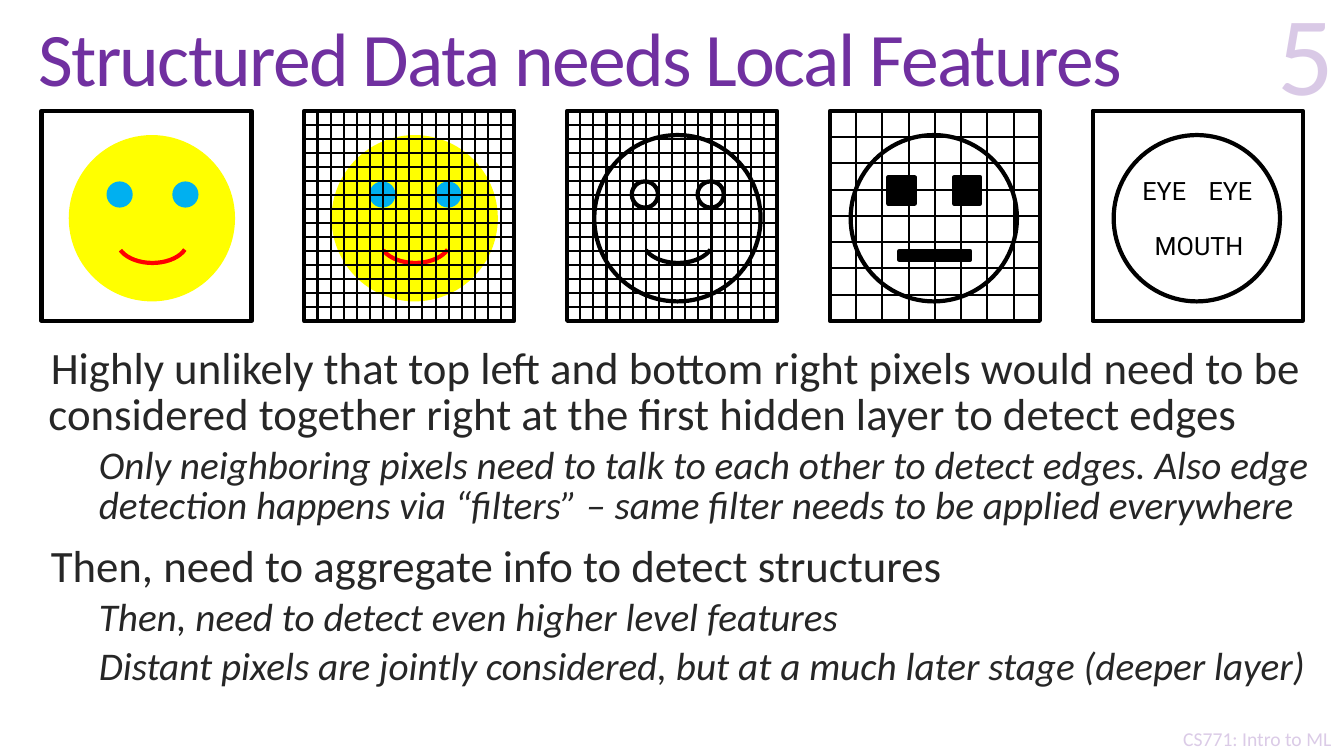
from dataclasses import dataclass
from typing import Optional

from lxml.etree import SubElement
from pptx import Presentation
from pptx.dml.color import RGBColor
from pptx.enum.shapes import MSO_CONNECTOR, MSO_SHAPE as SHAPE
from pptx.enum.text import MSO_ANCHOR as ANCHOR, MSO_AUTO_SIZE, PP_ALIGN as ALIGN
from pptx.oxml.ns import qn
from pptx.util import Pt

COLORS = {"purple": "7030A0", "text": "262626", "black": "000000", "white": "FFFFFF",
          "yellow": "FFFF00", "blue": "00B0F0", "red": "FF0000"}
PANEL_LEFT, PANEL_TOP, PANEL_SIZE, PANEL_PITCH = 29.7, 79.2, 150, 187.7
FACE_SIZE, EYE_SIZE = 118.8, 18.7
SMILE_ADJUSTMENTS = (9.12, 98.22)
TITLE_FONT = {"name": "Calibri", "size": Pt(54)}
FOOTER_FONT = {"name": "Calibri", "size": Pt(14)}
NUMBER_FONT = {"name": "Calibri", "size": Pt(80)}
LABEL_FONT = {"name": "Roboto", "size": Pt(18)}


@dataclass
class Level:
    """Format of one list level."""
    font: dict
    indent: float
    before: float


@dataclass
class Feature:
    """A piece of a face, placed relative to its panel."""
    kind: SHAPE
    x: float
    y: float
    w: float
    h: float
    fill: Optional[str] = None
    line: Optional[str] = None


@dataclass
class Label:
    """A word placed relative to its panel."""
    text: str
    x: float
    y: float
    w: float


@dataclass
class Panel:
    """A framed drawing divided into columns and rows."""
    features: list
    columns: int = 1
    rows: int = 1


LEVELS = [
    Level({"name": "Calibri", "size": Pt(32), "italic": False}, 7.2, 13),
    Level({"name": "Calibri", "size": Pt(28), "italic": True}, 43.2, 6),
]
BULLETS = [
    (0, "Highly unlikely that top left and bottom right pixels would need to be "
        "considered together right at the first hidden layer to detect edges"),
    (1, "Only neighboring pixels need to talk to each other to detect edges. Also edge "
        "detection happens via “filters” – same filter needs to be applied everywhere"),
    (0, "Then, need to aggregate info to detect structures"),
    (1, "Then, need to detect even higher level features"),
    (1, "Distant pixels are jointly considered, but at a much later stage (deeper layer)"),
]


def head(x: float, fill: Optional[str] = None, line: Optional[str] = None) -> Feature:
    """Return the round outline of a face."""
    return Feature(SHAPE.OVAL, x, 17.3, FACE_SIZE, FACE_SIZE, fill, line)


def eyes(kind: SHAPE, x: float, y: float, fill: Optional[str] = None,
         line: Optional[str] = None) -> list:
    """Return a pair of eyes."""
    return [Feature(kind, x + dx, y, EYE_SIZE, EYE_SIZE, fill, line) for dx in (0, 47)]


def smile(color: str) -> Feature:
    """Return a curved mouth."""
    return Feature(SHAPE.ARC, 54, 77, 50.4, 31.7, line=color)


COLOR_FACE = [head(19.4, "yellow"), *eyes(SHAPE.OVAL, 46.4, 50.4, "blue"), smile("red")]
EDGE_FACE = [head(19.4, line="black"), *eyes(SHAPE.OVAL, 46.2, 50.4, line="black"),
             smile("black")]
BLOCK_FACE = [head(14.8, line="black"),
              *eyes(SHAPE.RECTANGLE, 41.8, 47.5, "black", "black"),
              Feature(SHAPE.RECTANGLE, 49.7, 100, 50.4, 6.5, "black", "black")]
WORD_FACE = [head(15, line="black"), Label("EYE", 25.9, 42.5, 50.4),
             Label("EYE", 73.2, 42.5, 50.4), Label("MOUTH", 34.6, 82.1, 82.8)]
PANELS = [Panel(COLOR_FACE), Panel(COLOR_FACE, 16, 15), Panel(EDGE_FACE, 16, 15),
          Panel(BLOCK_FACE, 8, 8), Panel(WORD_FACE)]


def rgb(name: str) -> RGBColor:
    """Look up a named colour."""
    return RGBColor.from_string(COLORS[name])


def write(p, text: str, font: dict, color: str):
    """Add a formatted run to a paragraph."""
    r = p.add_run()
    r.text = text
    for key, value in font.items():
        setattr(r.font, key, value)
    r.font.color.rgb = rgb(color)
    return r


def place(sp, x: float, y: float, w: float, h: float) -> None:
    """Move and size a shape, in points."""
    for key, value in {"left": x, "top": y, "width": w, "height": h}.items():
        setattr(sp, key, Pt(value))


def set_opacity(sp, percent: int) -> None:
    """Make the colours of a shape partly transparent."""
    for clr in list(sp.element.iter(qn("a:srgbClr"))):
        SubElement(clr, qn("a:alpha"), val=str(percent * 1000))


def add_text(shapes, text: str, box: tuple, font: dict, color: str,
             align: ALIGN = ALIGN.CENTER, anchor: ANCHOR = ANCHOR.TOP):
    """Add a one-paragraph text box."""
    sp = shapes.add_textbox(*map(Pt, box))
    tf = sp.text_frame
    tf.word_wrap, tf.vertical_anchor = True, anchor
    tf.paragraphs[0].alignment = align
    write(tf.paragraphs[0], text, font, color)
    return sp


def add_feature(shapes, feature: Feature, left: float, top: float):
    """Add a preset shape relative to a corner."""
    sp = shapes.add_shape(feature.kind, Pt(left + feature.x), Pt(top + feature.y),
                          Pt(feature.w), Pt(feature.h))
    sp.shadow.inherit = False
    if feature.fill:
        sp.fill.solid()
        sp.fill.fore_color.rgb = rgb(feature.fill)
    else:
        sp.fill.background()
    if feature.line:
        sp.line.color.rgb, sp.line.width = rgb(feature.line), Pt(3)
    else:
        sp.line.fill.background()
    if feature.kind == SHAPE.ARC:
        for i, value in enumerate(SMILE_ADJUSTMENTS):
            sp.adjustments[i] = value
    return sp


def add_line(shapes, x1: float, y1: float, x2: float, y2: float) -> None:
    """Add a thin black grid line."""
    line = shapes.add_connector(MSO_CONNECTOR.STRAIGHT, Pt(x1), Pt(y1), Pt(x2), Pt(y2))
    line.line.color.rgb, line.line.width = rgb("black"), Pt(1.5)
    SubElement(line.element.spPr, qn("a:effectLst"))


def add_panel(shapes, panel: Panel, left: float, top: float) -> None:
    """Add a face, its frame and its grid as one group."""
    group = shapes.add_group_shape().shapes
    for item in panel.features:
        if isinstance(item, Label):
            add_text(group, item.text, (left + item.x, top + item.y, item.w, 28.8),
                     LABEL_FONT, "black")
        else:
            add_feature(group, item, left, top)
    frame = Feature(SHAPE.RECTANGLE, 0, 0, PANEL_SIZE, PANEL_SIZE, line="black")
    add_feature(group, frame, left, top)
    for i in range(1, panel.columns):
        x = left + i * PANEL_SIZE / panel.columns
        add_line(group, x, top, x, top + PANEL_SIZE)
    for i in range(panel.rows + 1):
        y = top + i * PANEL_SIZE / panel.rows
        add_line(group, left, y, left + PANEL_SIZE, y)


def fill_title(sp, text: str) -> None:
    """Place and write the title."""
    place(sp, 20.2, 2.9, 913.7, 85)
    tf = sp.text_frame
    tf.auto_size, tf.vertical_anchor = MSO_AUTO_SIZE.NONE, ANCHOR.MIDDLE
    p = tf.paragraphs[0]
    p.alignment, p.line_spacing = ALIGN.LEFT, 0.85
    r = write(p, text, TITLE_FONT, "purple")
    r._r.get_or_add_rPr().set("spc", "-120")


def fill_body(sp) -> None:
    """Place and write the two-level list."""
    place(sp, 20.2, 244.8, 940.3, 295.2)
    tf = sp.text_frame
    tf.auto_size, tf.vertical_anchor = MSO_AUTO_SIZE.NONE, ANCHOR.TOP
    for i, (depth, text) in enumerate(BULLETS):
        p = tf.add_paragraph() if i else tf.paragraphs[0]
        level = LEVELS[depth]
        p.level, p.line_spacing, p.space_before = depth, 0.85, Pt(level.before)
        write(p, text, level.font, "text")
        pPr = p._p.get_or_add_pPr()
        pPr.set("marL", str(Pt(level.indent)))
        pPr.set("indent", str(-Pt(level.indent)))
        SubElement(pPr, qn("a:buChar"), char=" ")


prs = Presentation()
prs.slide_width, prs.slide_height = Pt(960), Pt(540)
slide = prs.slides.add_slide(prs.slide_layouts[1])
shapes = slide.shapes
title, body = slide.placeholders
fill_title(title, "Structured Data needs Local Features")
fill_body(body)

footer = add_text(shapes, "CS771: Intro to ML", (829.4, 515.5, 137.5, 24.5),
                  FOOTER_FONT, "purple")
veil = add_feature(shapes, Feature(SHAPE.RECTANGLE, 0, 0, 121.7, 131, "white"), 838.3, 409)
set_opacity(veil, 75)
for sp in (footer, veil):
    title.element.addprevious(sp.element)

number = add_text(shapes, "5", (729.4, 3.6, 230.4, 84.2), NUMBER_FONT, "purple",
                  ALIGN.RIGHT, ANCHOR.BOTTOM)
set_opacity(number, 25)
for i, panel in enumerate(PANELS):
    add_panel(shapes, panel, PANEL_LEFT + i * PANEL_PITCH, PANEL_TOP)
prs.save("out.pptx")
